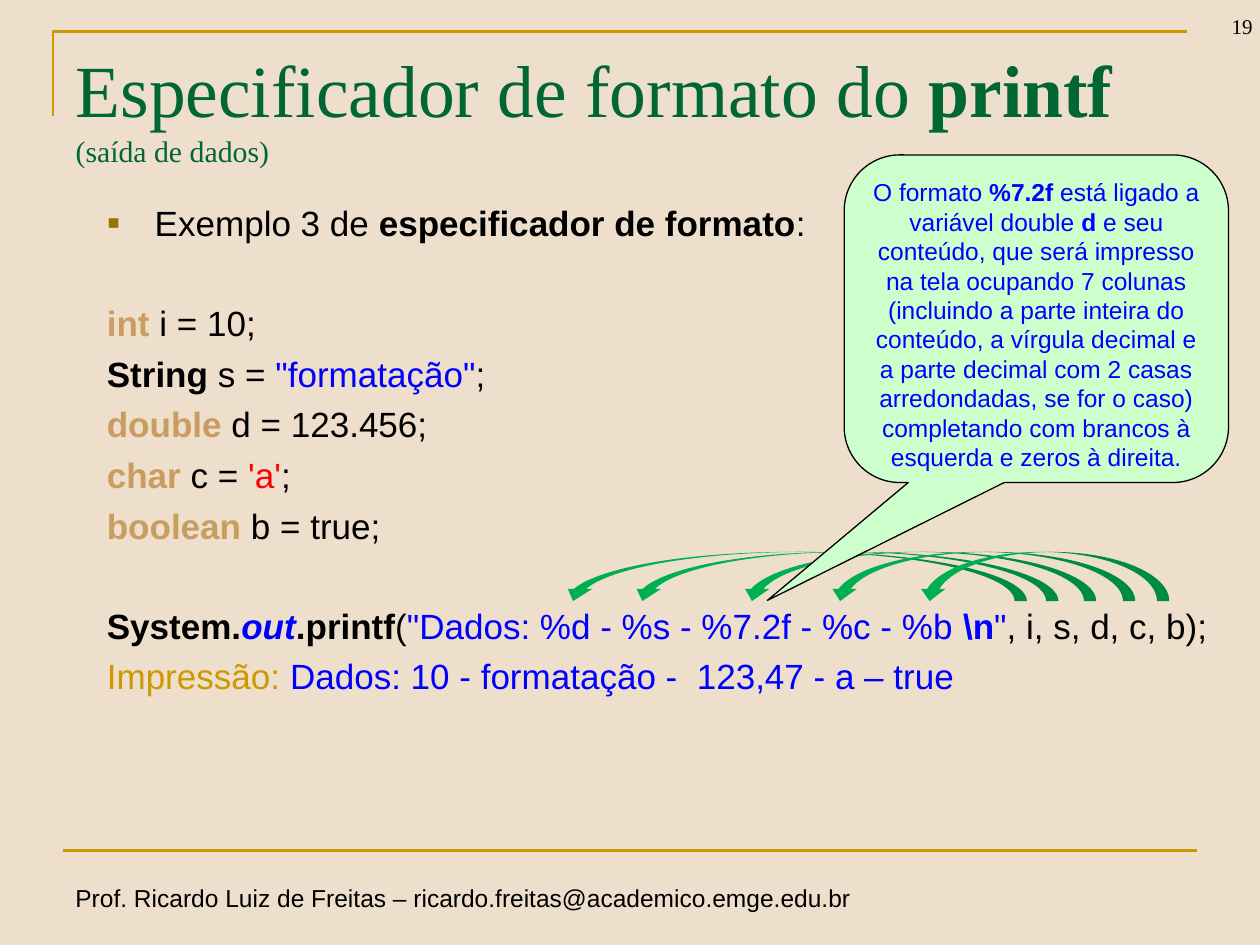
from lxml.etree import SubElement
from pptx import Presentation
from pptx.dml.color import RGBColor
from pptx.enum.shapes import MSO_CONNECTOR as CONNECTOR, MSO_SHAPE as SHAPE
from pptx.enum.text import MSO_ANCHOR as ANCHOR, PP_ALIGN as ALIGN
from pptx.oxml.ns import qn
from pptx.util import Inches, Pt

COLORS = {
    "background": "EEDFCC", "gold": "CC9900", "bullet": "997300",
    "title": "006633", "text": "000000", "keyword": "C99C60",
    "blue": "0000FF", "red": "FF0000", "arrow": "00B050", "callout": "CCFFCC",
}
SANS, SERIF = "Arial", "Times New Roman"
LINE_GAP, BLOCK_GAP = 5, 33

# Each run is (text, colour, style); style holds "b" for bold, "i" for italic
HEADING = [("Exemplo 3 de ", "text", ""),
           ("especificador de formato", "text", "b"), (":", "text", "")]
DECLARATIONS = [
    [("int", "keyword", "b"), (" i = 10;", "text", "")],
    [("String", "text", "b"), (" s = ", "text", ""),
     ('"formatação"', "blue", ""), (";", "text", "")],
    [("double", "keyword", "b"), (" d = 123.456;", "text", "")],
    [("char", "keyword", "b"), (" c = ", "text", ""),
     ("'a'", "red", ""), (";", "text", "")],
    [("boolean", "keyword", "b"), (" b = true;", "text", "")],
]
OUTPUT = [
    [("System.", "text", "b"), ("out", "blue", "bi"), (".printf", "text", "b"),
     ("(", "text", ""), ('"Dados: %d - %s - %7.2f - %c - %b ', "blue", ""),
     ("\\n", "blue", "b"), ('"', "blue", ""), (", i, s, d, c, b);", "text", "")],
    [("Impressão: ", "gold", ""),
     ("Dados: 10 - formatação -  123,47 - a – true", "blue", "")],
]
CALLOUT = [
    ("O formato ", "blue", ""), ("%7.2f ", "blue", "b"),
    ("está ligado a variável double ", "blue", ""), ("d", "blue", "b"),
    (" e seu conteúdo, que será impresso na tela ocupando 7 colunas "
     "(incluindo a parte inteira do conteúdo, a vírgula decimal e a parte "
     "decimal com 2 casas arredondadas, se for o caso) completando com "
     "brancos à esquerda e zeros à direita.", "blue", ""),
]
# Left edge and width of the arrow from each variable to its specifier
ARROWS = [(4.45, 3.7), (5, 3.4), (5.87, 2.83), (6.57, 2.44), (7.28, 2)]


def rgb(name):
    return RGBColor.from_string(COLORS[name])


def set_font(paragraph, name, size):
    paragraph.font.name = name
    paragraph.font.size = Pt(size)


def add_runs(paragraph, runs):
    for text, color, style in runs:
        run = paragraph.add_run()
        run.text = text
        run.font.color.rgb = rgb(color)
        run.font.bold = "b" in style
        run.font.italic = "i" in style
    return run


def add_text_box(slide, left, top, width, height, wrap=True):
    box = slide.shapes.add_textbox(
        Inches(left), Inches(top), Inches(width), Inches(height))
    box.text_frame.word_wrap = wrap
    return box.text_frame


def add_label(frame, text, name, size):
    paragraph = frame.paragraphs[0]
    set_font(paragraph, name, size)
    add_runs(paragraph, [(text, "text", "")])
    return paragraph


def add_bullet(paragraph):
    properties = paragraph._p.get_or_add_pPr()
    properties.set("marL", str(Inches(0.38)))
    properties.set("indent", str(-Inches(0.38)))
    color = SubElement(properties, qn("a:buClr"))
    SubElement(color, qn("a:srgbClr"), val=COLORS["bullet"])
    SubElement(properties, qn("a:buSzPct"), val="110000")
    SubElement(properties, qn("a:buFont"), typeface=SANS)
    SubElement(properties, qn("a:buChar"), char="▪")


def add_frame_lines(slide):
    builder = slide.shapes.build_freeform(Inches(0.42), Inches(0.92))
    builder.add_line_segments(
        [(Inches(0.42), Inches(0.25)), (Inches(9.42), Inches(0.25))], close=False)
    corner = builder.convert_to_shape()
    corner.shadow.inherit = False
    corner.fill.background()
    rule = slide.shapes.add_connector(
        CONNECTOR.STRAIGHT, Inches(0.5), Inches(6.75), Inches(9.5), Inches(6.75))
    SubElement(rule._element.spPr, qn("a:effectLst"))
    for shape in (corner, rule):
        shape.line.color.rgb = rgb("gold")
        shape.line.width = Pt(1.5)


def add_title(slide):
    title = slide.shapes.title
    title.left, title.top = Inches(0.5), Inches(0.3)
    title.width, title.height = Inches(9), Inches(1.25)
    title.text_frame.vertical_anchor = ANCHOR.TOP
    paragraph = title.text_frame.paragraphs[0]
    paragraph.alignment = ALIGN.LEFT
    set_font(paragraph, SERIF, 42)
    add_runs(paragraph, [("Especificador de formato do ", "title", ""),
                         ("printf", "title", "b")])
    paragraph.add_line_break()
    add_runs(paragraph, [("(saída de dados)", "title", "")]).font.size = Pt(17)


def add_body(slide):
    frame = add_text_box(slide, 0.75, 1.55, 9, 4.95)
    heading = frame.paragraphs[0]
    add_bullet(heading)
    set_font(heading, SANS, 20)
    add_runs(heading, HEADING)
    for block in (DECLARATIONS, OUTPUT):
        for index, runs in enumerate(block):
            paragraph = frame.add_paragraph()
            paragraph.space_before = Pt(LINE_GAP if index else BLOCK_GAP)
            set_font(paragraph, SANS, 20)
            add_runs(paragraph, runs)


def add_arrow(slide, left, width):
    arrow = slide.shapes.add_shape(
        SHAPE.CURVED_DOWN_ARROW, Inches(left), Inches(4.38), Inches(width), Inches(0.39))
    arrow.rotation = 180
    arrow._element.spPr.xfrm.set("flipV", "1")
    arrow.shadow.inherit = False
    arrow.fill.solid()
    arrow.fill.fore_color.rgb = rgb("arrow")
    arrow.line.fill.background()


def add_callout(slide):
    callout = slide.shapes.add_shape(
        SHAPE.ROUNDED_RECTANGULAR_CALLOUT,
        Inches(6.7), Inches(1.23), Inches(3.05), Inches(2.6))
    for index, value in enumerate((-0.7, 0.86, 0.17)):
        callout.adjustments[index] = value
    callout.shadow.inherit = False
    callout.fill.solid()
    callout.fill.fore_color.rgb = rgb("callout")
    callout.line.color.rgb = rgb("text")
    callout.line.width = Pt(0.75)
    frame = callout.text_frame
    frame.word_wrap = True
    frame.vertical_anchor = ANCHOR.TOP
    paragraph = frame.paragraphs[0]
    paragraph.alignment = ALIGN.CENTER
    set_font(paragraph, SANS, 14)
    add_runs(paragraph, CALLOUT)


def main():
    presentation = Presentation()
    presentation.slide_width, presentation.slide_height = Inches(10), Inches(7.5)
    slide = presentation.slides.add_slide(presentation.slide_layouts[5])
    slide.background.fill.solid()
    slide.background.fill.fore_color.rgb = rgb("background")

    # Frame, footer and page number
    add_frame_lines(slide)
    footer = add_text_box(slide, 0.5, 6.96, 6.38, 0.34, wrap=False)
    add_label(footer, "Prof. Ricardo Luiz de Freitas – "
              "ricardo.freitas@academico.emge.edu.br", SANS, 14)
    number = add_text_box(slide, 9.29, -0.14, 0.75, 0.5)
    number.vertical_anchor = ANCHOR.BOTTOM
    add_label(number, "19", SERIF, 12).alignment = ALIGN.RIGHT

    # Title and code
    add_title(slide)
    add_body(slide)

    # Links from variables to specifiers, and the explanation
    for left, width in ARROWS:
        add_arrow(slide, left, width)
    add_callout(slide)
    presentation.save("out.pptx")


if __name__ == "__main__":
    main()
